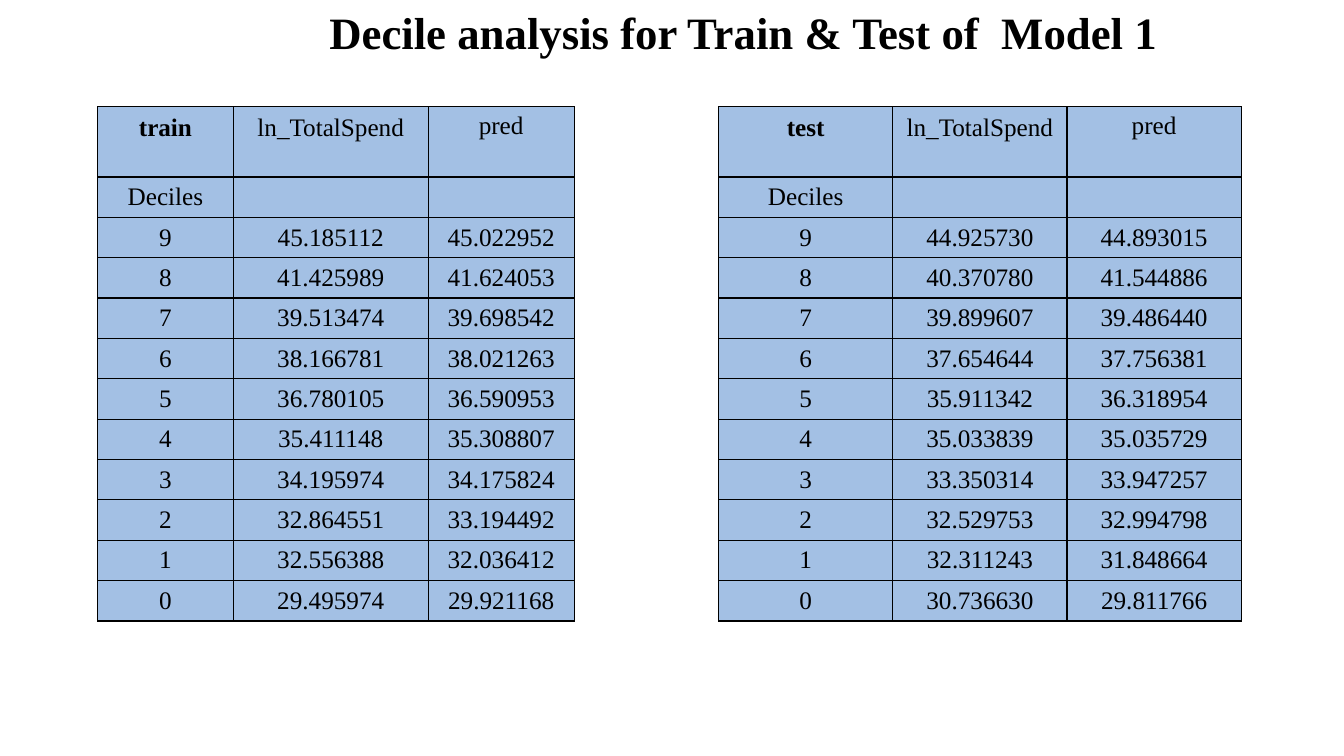
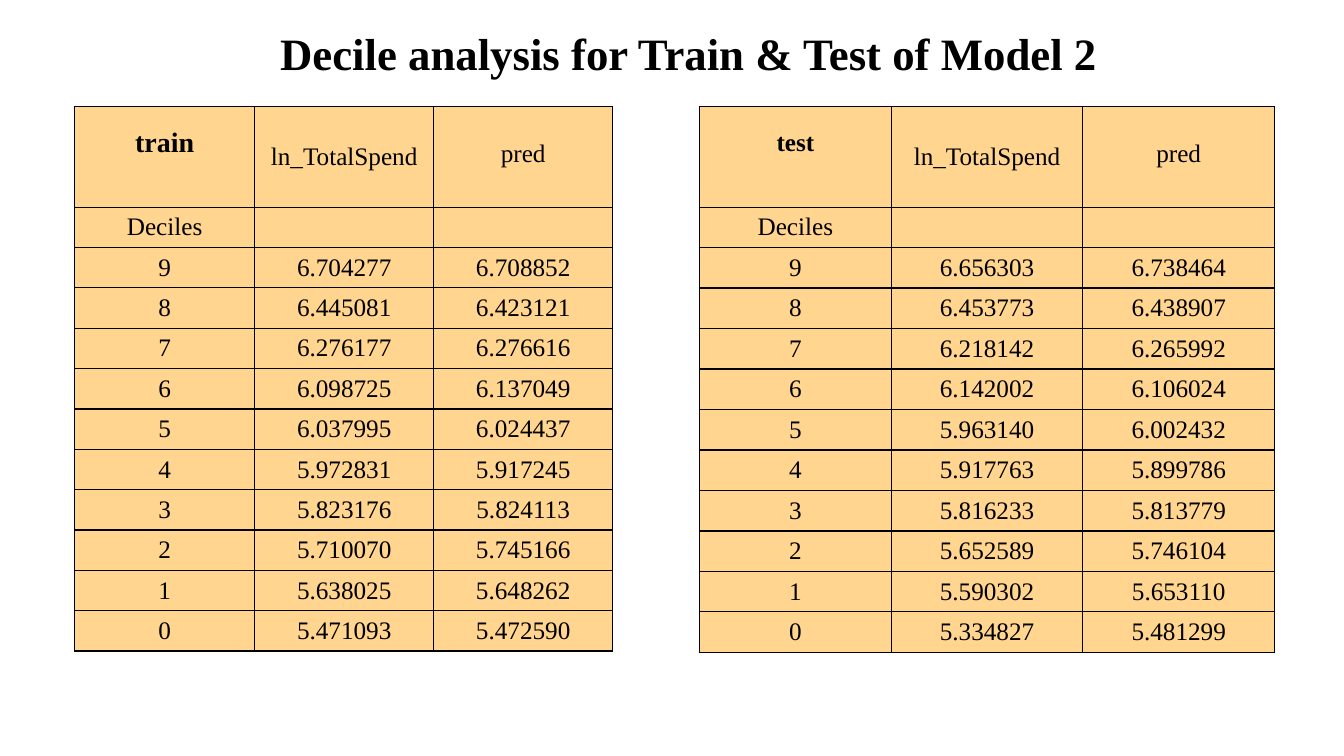
from lxml.etree import SubElement
from pptx import Presentation
from pptx.dml.color import RGBColor as RGB
from pptx.enum.text import MSO_ANCHOR as ANCHOR, PP_ALIGN as ALIGN
from pptx.oxml.ns import qn
from pptx.util import Cm, Pt

COLORS = {"ink": "000000", "blue": "A3C0E4", "orange": "FFD58F"}
FONT = "Times New Roman"
TABLE_TOP = 2.69
HEADINGS = ("ln_TotalSpend", "pred")

# One entry per model: title box, fill and the train and test tables.
# "drops" holds the top inset of each heading cell.
MODELS = [
    {
        "title": "Decile analysis for Train & Test of  Model 1",
        "title_box": (2.97, 0, 28.3, 1.62), "indent": 5.33,
        "fill": "blue", "header": 1.77,
        "samples": [
            {"name": "train", "size": 18, "left": 2.46, "row": 1.01,
             "columns": (3.42, 4.91, 3.68), "drops": (0.18, 0.18, 0.13),
             "actual": ("45.185112", "41.425989", "39.513474", "38.166781", "36.780105",
                        "35.411148", "34.195974", "32.864551", "32.556388", "29.495974"),
             "pred": ("45.022952", "41.624053", "39.698542", "38.021263", "36.590953",
                      "35.308807", "34.175824", "33.194492", "32.036412", "29.921168")},
            {"name": "test", "size": 18, "left": 18.11, "row": 1.01,
             "columns": (4.39,) * 3, "drops": (0.18, 0.18, 0.13),
             "actual": ("44.925730", "40.370780", "39.899607", "37.654644", "35.911342",
                        "35.033839", "33.350314", "32.529753", "32.311243", "30.736630"),
             "pred": ("44.893015", "41.544886", "39.486440", "37.756381", "36.318954",
                      "35.035729", "33.947257", "32.994798", "31.848664", "29.811766")},
        ],
    },
    {
        "title": "Decile analysis for Train & Test of Model 2",
        "title_box": (6.81, 0.53, 21.64, 1.62), "indent": 0.25,
        "fill": "orange", "header": 2.53,
        "samples": [
            {"name": "train", "size": 20, "left": 1.88, "row": 1.01,
             "columns": (4.54, 4.51, 4.51), "drops": (0.52, 0.92, 0.83),
             "actual": ("6.704277", "6.445081", "6.276177", "6.098725", "6.037995",
                        "5.972831", "5.823176", "5.710070", "5.638025", "5.471093"),
             "pred": ("6.708852", "6.423121", "6.276616", "6.137049", "6.024437",
                      "5.917245", "5.824113", "5.745166", "5.648262", "5.472590")},
            {"name": "test", "size": 18, "left": 17.63, "row": 1.02,
             "columns": (4.83,) * 3, "drops": (0.57, 0.92, 0.83),
             "actual": ("6.656303", "6.453773", "6.218142", "6.142002", "5.963140",
                        "5.917763", "5.816233", "5.652589", "5.590302", "5.334827"),
             "pred": ("6.738464", "6.438907", "6.265992", "6.106024", "6.002432",
                      "5.899786", "5.813779", "5.746104", "5.653110", "5.481299")},
        ],
    },
]


def write(frame, text, size=18, bold=False, align=ALIGN.CENTER):
    paragraph = frame.paragraphs[0]
    paragraph.alignment = align
    if text:
        run = paragraph.add_run()
        run.text = text
        run.font.name, run.font.size, run.font.bold = FONT, Pt(size), bold
        run.font.color.rgb = RGB.from_string(COLORS["ink"])


def style_cell(cell, fill):
    props = cell._tc.get_or_add_tcPr()
    for side in ("a:lnL", "a:lnR", "a:lnT", "a:lnB"):
        border = SubElement(props, qn(side), w=str(Pt(1)))
        SubElement(SubElement(border, qn("a:solidFill")), qn("a:srgbClr"), val=COLORS["ink"])
    cell.fill.solid()
    cell.fill.fore_color.rgb = RGB.from_string(COLORS[fill])


deck = Presentation()
deck.slide_width, deck.slide_height = Cm(33.87), Cm(19.05)

for model in MODELS:
    slide = deck.slides.add_slide(deck.slide_layouts[6])

    # Title
    title = slide.shapes.add_textbox(*map(Cm, model["title_box"])).text_frame
    title.word_wrap = True
    title.margin_left = Cm(model["indent"])
    write(title, model["title"], size=32, bold=True, align=ALIGN.LEFT)

    # Train and test decile tables
    for sample in model["samples"]:
        deciles = zip("9876543210", sample["actual"], sample["pred"])
        rows = [(sample["name"], *HEADINGS), ("Deciles", "", ""), *deciles]
        heights = [model["header"]] + [sample["row"]] * (len(rows) - 1)
        table = slide.shapes.add_table(
            len(rows), 3, Cm(sample["left"]), Cm(TABLE_TOP),
            Cm(sum(sample["columns"])), Cm(sum(heights))).table
        for column, width in zip(table.columns, sample["columns"]):
            column.width = Cm(width)
        for r, (values, height) in enumerate(zip(rows, heights)):
            table.rows[r].height = Cm(height)
            for c, value in enumerate(values):
                cell = table.cell(r, c)
                style_cell(cell, model["fill"])
                corner = r == c == 0
                write(cell.text_frame, value, size=sample["size"] if corner else 18, bold=corner)
                cell.vertical_anchor = ANCHOR.MIDDLE if r else ANCHOR.TOP
                if r == 0:
                    cell.margin_top = Cm(sample["drops"][c])

deck.save("out.pptx")
